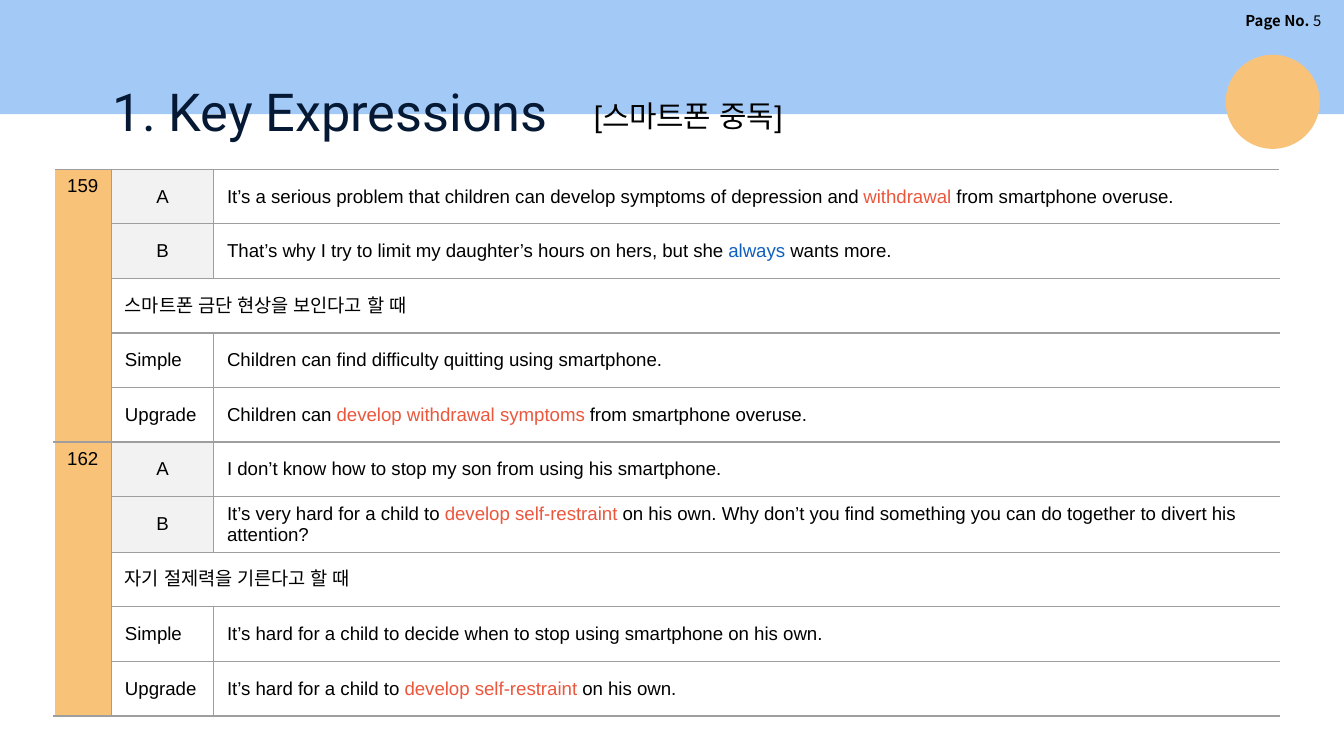
from dataclasses import dataclass

from lxml import etree
from pptx import Presentation
from pptx.dml.color import RGBColor
from pptx.enum.shapes import MSO_SHAPE
from pptx.enum.text import MSO_ANCHOR, PP_ALIGN
from pptx.oxml.ns import qn
from pptx.util import Inches, Pt


@dataclass(frozen=True)
class Theme:
    band: str = "A3CAF7"
    accent: str = "F8C379"
    title: str = "051934"
    text: str = "000000"
    red: str = "EB573D"
    blue: str = "1060BD"
    speaker: str = "F2F2F2"
    rule: str = "9E9E9E"
    paper: str = "FFFFFF"
    title_size: float = 28
    topic_size: float = 16
    body_size: float = 10
    page_size: float = 8
    body_font: str = "Arial"
    title_font: str = "Roboto"
    page_font: str = "Noto Sans CJK KR"


THEME = Theme()
WIDTH = 10
HEIGHT = WIDTH * 9 / 16
COLUMNS = (0.43, 0.76, 7.93)
RED, BLUE = {"color": THEME.red}, {"color": THEME.blue}

# Each expression: number, line A, line B, situation, simple form, upgraded form.
EXPRESSIONS = [
    (
        "159",
        ["It’s a serious problem that children can develop symptoms of depression and ",
         ("withdrawal", RED), " from smartphone overuse."],
        ["That’s why I try to limit my daughter’s hours on hers, but she ",
         ("always", BLUE), " wants more."],
        ["스마트폰 금단 현상을 보인다고 할 때"],
        ["Children can find difficulty quitting using smartphone."],
        ["Children can ", ("develop withdrawal symptoms ", RED), "from smartphone overuse."],
    ),
    (
        "162",
        ["I don’t know how to stop my son from using his smartphone."],
        ["It’s very hard for a child to ", ("develop self-restraint ", RED),
         "on his own. Why don’t you find something you can do together to divert his attention?"],
        ["자기 절제력을 기른다고 할 때"],
        ["It’s hard for a child to decide when to stop using smartphone on his own."],
        ["It’s hard for a child to ", ("develop self-restraint ", RED), "on his own."],
    ),
]
LABELS = ("A", "B", None, "Simple", "Upgrade")


def write(frame, runs, *, size=THEME.body_size, font=THEME.body_font,
          color=THEME.text, bold=False, align=PP_ALIGN.LEFT):
    """Fill a text frame; a run is a string or (string, format overrides)."""
    paragraph = frame.paragraphs[0]
    paragraph.alignment = align
    for item in runs:
        words, changes = (item, {}) if isinstance(item, str) else item
        run = paragraph.add_run()
        run.text = words
        run.font.size = Pt(size)
        run.font.name = font
        run.font.bold = changes.get("bold", bold)
        run.font.color.rgb = RGBColor.from_string(changes.get("color", color))
        east_asian = etree.SubElement(run.font._element, qn("a:ea"))
        east_asian.set("typeface", font)


def add_label(slide, box, runs, inset=0.05, anchor=MSO_ANCHOR.TOP, **style):
    frame = slide.shapes.add_textbox(*map(Inches, box)).text_frame
    frame.word_wrap = True
    frame.vertical_anchor = anchor
    frame.margin_top = frame.margin_bottom = Inches(inset)
    write(frame, runs, **style)


def add_plain_shape(slide, kind, box, color):
    shape = slide.shapes.add_shape(kind, *map(Inches, box))
    shape.shadow.inherit = False
    shape.fill.solid()
    shape.fill.fore_color.rgb = RGBColor.from_string(color)
    shape.line.fill.background()


def add_header(slide, box):
    left, top, width, height = box
    add_plain_shape(slide, MSO_SHAPE.RECTANGLE, box, THEME.band)
    add_label(slide, (left + 0.848 * width, top + 0.04, 0.145 * width, 0.23),
              ["Page No. ", ("5", {"bold": False})], anchor=MSO_ANCHOR.MIDDLE,
              size=THEME.page_size, font=THEME.page_font, bold=True,
              align=PP_ALIGN.RIGHT)
    add_label(slide, (left + 0.074 * width, top + 0.58 * height, 0.358 * width, 0.63),
              ["1. Key Expressions"], inset=0.1, size=THEME.title_size,
              font=THEME.title_font, color=THEME.title)
    diameter = 0.07 * width
    add_plain_shape(slide, MSO_SHAPE.OVAL,
                    (left + 0.912 * width, top + 0.48 * height, diameter, diameter),
                    THEME.accent)
    add_label(slide, (left + 0.432 * width, top + 0.8 * height, 0.244 * width, 0.37),
              ["[스마트폰 중독]"], size=THEME.topic_size)


def rule_cell(cell, row, column):
    """Draw grey rules, with white ones on the outer left and right."""
    properties = cell._tc.get_or_add_tcPr()
    last = len(COLUMNS) - 1
    if LABELS[row % len(LABELS)] is None:
        last -= 1
    for side in "LRTB":
        outer = (side == "L" and column == 0) or (side == "R" and column >= last)
        line = etree.SubElement(properties, qn(f"a:ln{side}"))
        line.set("w", str(Pt(1 if outer else 0.75)))
        fill = etree.SubElement(line, qn("a:solidFill"))
        etree.SubElement(fill, qn("a:srgbClr")).set(
            "val", THEME.paper if outer else THEME.rule)


def fill_cell(cell, runs, color=None, anchor=MSO_ANCHOR.MIDDLE, margin=0.04, **style):
    cell.vertical_anchor = anchor
    cell.margin_top = cell.margin_bottom = Inches(margin)
    if color:
        cell.fill.solid()
        cell.fill.fore_color.rgb = RGBColor.from_string(color)
    write(cell.text_frame, runs, **style)


def add_expression(table, first_row, expression):
    number, *lines = expression
    index = table.cell(first_row, 0)
    index.merge(table.cell(first_row + len(LABELS) - 1, 0))
    index.margin_right = 0
    fill_cell(index, [number], THEME.accent, anchor=MSO_ANCHOR.TOP, margin=0.05)
    for row, (label, line) in enumerate(zip(LABELS, lines), first_row):
        label_cell, line_cell = table.cell(row, 1), table.cell(row, 2)
        if label is None:
            label_cell.merge(line_cell)
            fill_cell(label_cell, line)
            continue
        spoken = label in ("A", "B")
        fill_cell(label_cell, [label], THEME.speaker if spoken else None,
                  align=PP_ALIGN.CENTER if spoken else PP_ALIGN.LEFT)
        fill_cell(line_cell, line)


def add_expression_table(slide, box):
    row_count = len(EXPRESSIONS) * len(LABELS)
    table = slide.shapes.add_table(row_count, len(COLUMNS), *map(Inches, box)).table
    table.first_row = table.horz_banding = False
    for column, share in zip(table.columns, COLUMNS):
        column.width = Inches(box[2] * share / sum(COLUMNS))
    for order, row in enumerate(table.rows):
        row.height = Inches(box[3] / row_count)
        for position, cell in enumerate(row.cells):
            rule_cell(cell, order, position)
            cell.fill.background()
    for order, expression in enumerate(EXPRESSIONS):
        add_expression(table, order * len(LABELS), expression)


def main():
    deck = Presentation()
    deck.slide_width, deck.slide_height = Inches(WIDTH), Inches(HEIGHT)
    slide = deck.slides.add_slide(deck.slide_layouts[6])
    add_header(slide, (0, 0, WIDTH, 0.85))
    add_expression_table(slide, (0.4, 1.26, sum(COLUMNS), 4.06))
    deck.save("out.pptx")


if __name__ == "__main__":
    main()
